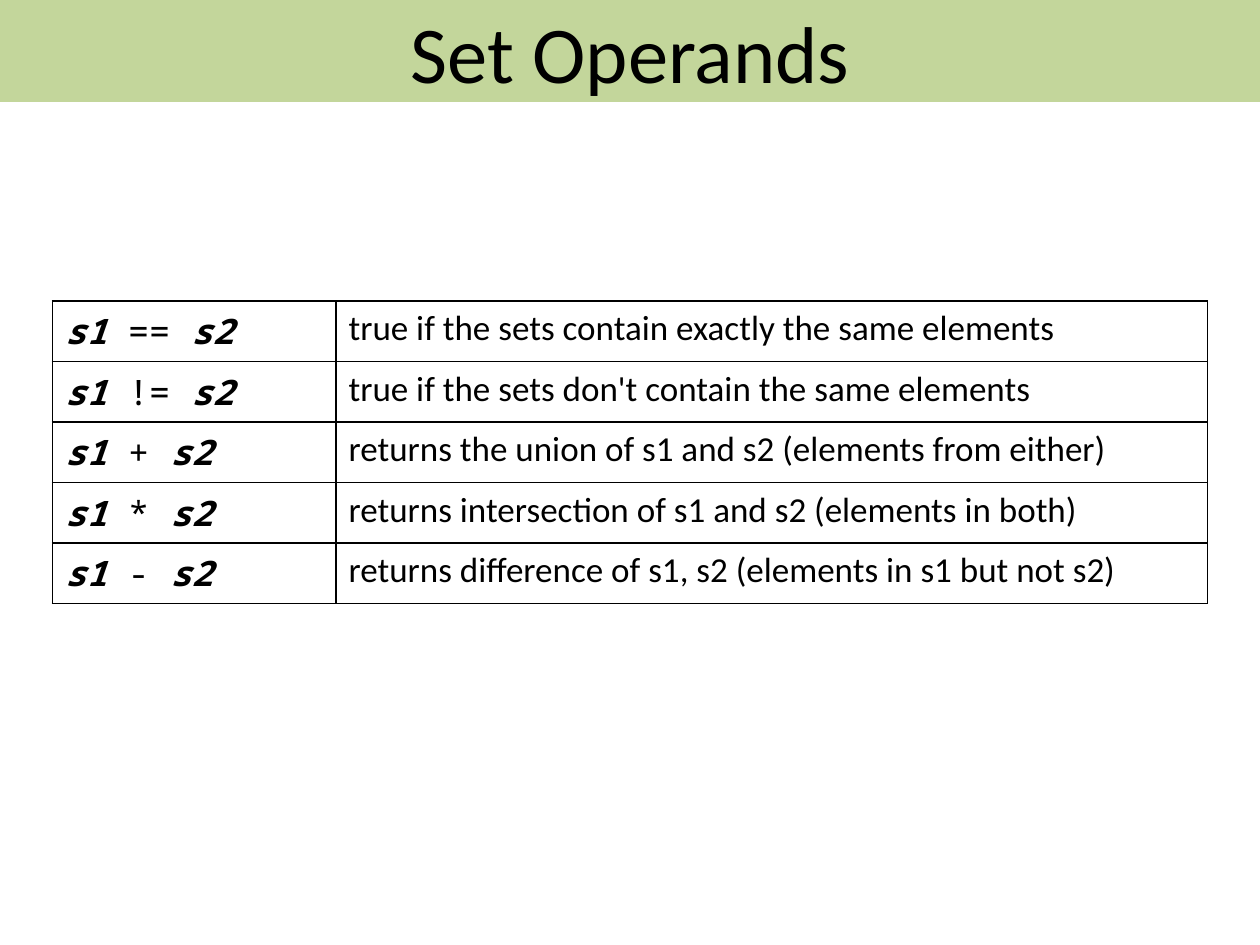
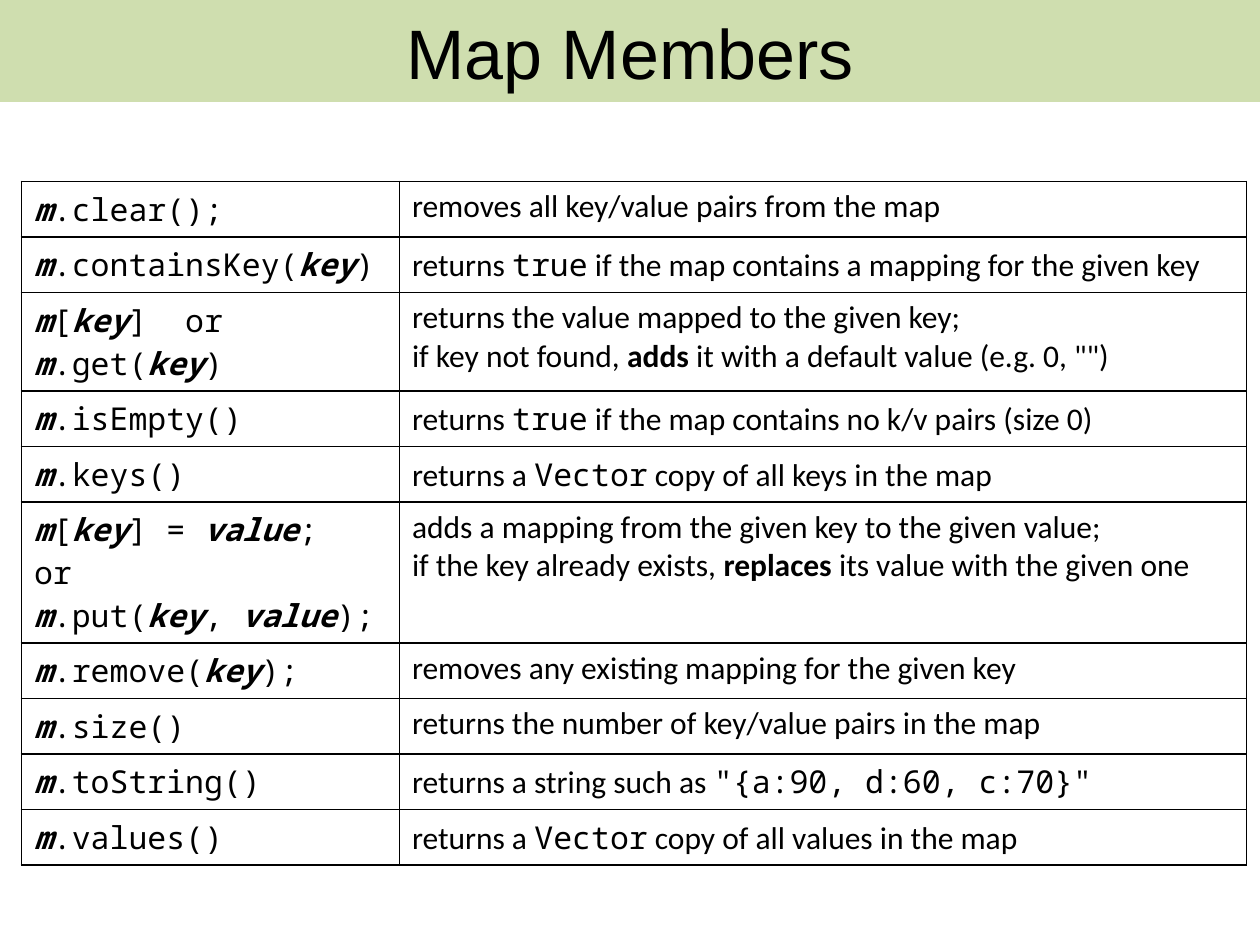
from lxml.etree import SubElement
from pptx import Presentation
from pptx.dml.color import RGBColor
from pptx.enum.text import MSO_ANCHOR, MSO_AUTO_SIZE, PP_ALIGN
from pptx.oxml.ns import qn
from pptx.util import Pt

COLORS = {"band": "C3D69B", "text": "000000", "border": "000000"}
BODY_FONT = "Calibri"
CODE_FONT = "Noto Sans Mono"
SLIDE_WIDTH, SLIDE_HEIGHT = 720, 540
BAND_HEIGHT = 58.3

# Cell markup: ` switches the code font, _ switches emphasis.
# A newline is a line break; a tuple holds several paragraphs.
SET_OPERANDS = [
    ("`_s1_ == _s2_", "true if the sets contain exactly the same elements"),
    ("`_s1_ != _s2_", "true if the sets don't contain the same elements"),
    ("`_s1_ + _s2_", "returns the union of s1 and s2 (elements from either)"),
    ("`_s1_ * _s2_", "returns intersection of s1 and s2 (elements in both)"),
    ("`_s1_ - _s2_", "returns difference of s1, s2 (elements in s1 but not s2)"),
]
MAP_MEMBERS = [
    ("`_m_.clear();", "removes all key/value pairs from the map"),
    ("`_m_.containsKey(_key_)",
     "returns `true` if the map contains a mapping for the given key"),
    (("`_m_[_key_]  or", "`_m_.get(_key_)"),
     "returns the value mapped to the given key;\n"
     "if key not found, _adds_ it with a default value (e.g. 0, \"\")"),
    ("`_m_.isEmpty()", "returns `true` if the map contains no k/v pairs (size 0)"),
    ("`_m_.keys()", "returns a `Vector` copy of all keys in the map"),
    (("`_m_[_key_] = _value_;  or", "`_m_.put(_key_, _value_);"),
     "adds a mapping from the given key to the given value;\n"
     "if the key already exists, _replaces_ its value with the given one"),
    ("`_m_.remove(_key_);", "removes any existing mapping for the given key"),
    ("`_m_.size()", "returns the number of key/value pairs in the map"),
    ("`_m_.toString()", "returns a string such as `\"{a:90, d:60, c:70}\"`"),
    ("`_m_.values()", "returns a `Vector` copy of all values in the map"),
]
MAP_ROW_HEIGHTS = [31.7, 31.7, 50.4, 31.7, 31.7, 50.4, 28.8, 31, 28.8, 28.8]


def add_run(paragraph, text, *, size, font=BODY_FONT, bold=False, italic=False,
            color="text"):
    run = paragraph.add_run()
    run.text = text
    run.font.name = font
    run.font.size = Pt(size)
    run.font.bold = bold
    run.font.italic = italic
    run.font.color.rgb = RGBColor.from_string(COLORS[color])


def add_marked_line(paragraph, line, size):
    for font_index, part in enumerate(line.split("`")):
        is_code = font_index % 2 == 1
        for emphasis_index, text in enumerate(part.split("_")):
            emphasized = emphasis_index % 2 == 1
            if text:
                add_run(paragraph, text, size=size,
                        font=CODE_FONT if is_code else BODY_FONT,
                        bold=emphasized, italic=emphasized and is_code)


class Deck:
    def __init__(self):
        self.presentation = Presentation()
        self.presentation.slide_width = Pt(SLIDE_WIDTH)
        self.presentation.slide_height = Pt(SLIDE_HEIGHT)
        self.slide = None

    def add_slide(self, title, size, font=BODY_FONT, opacity=100):
        layout = self.presentation.slide_layouts.get_by_name("Title Only")
        self.slide = self.presentation.slides.add_slide(layout)
        band = self.slide.shapes.title
        band.left, band.top = Pt(0), Pt(0)
        band.width, band.height = Pt(SLIDE_WIDTH), Pt(BAND_HEIGHT)
        band.fill.solid()
        band.fill.fore_color.rgb = RGBColor.from_string(COLORS["band"])
        if opacity < 100:
            color = band._element.spPr.find(".//" + qn("a:srgbClr"))
            SubElement(color, qn("a:alpha"), val=str(opacity * 1000))
        frame = band.text_frame
        frame.auto_size = MSO_AUTO_SIZE.NONE
        frame.vertical_anchor = MSO_ANCHOR.MIDDLE
        paragraph = frame.paragraphs[0]
        paragraph.alignment = PP_ALIGN.CENTER
        add_run(paragraph, title, size=size, font=font)

    def add_table(self, rows, left, top, column_widths, row_heights, size):
        table = self.slide.shapes.add_table(
            len(rows), len(column_widths), Pt(left), Pt(top),
            Pt(sum(column_widths)), Pt(sum(row_heights))).table
        table.first_row = False
        table.horz_banding = False
        for column, width in zip(table.columns, column_widths):
            column.width = Pt(width)
        for row, height, contents in zip(table.rows, row_heights, rows):
            row.height = Pt(height)
            for cell, content in zip(row.cells, contents):
                self.style_cell(cell)
                self.fill_cell(cell, content, size)

    def style_cell(self, cell):
        properties = cell._tc.get_or_add_tcPr()
        for side in ("a:lnL", "a:lnR", "a:lnT", "a:lnB"):
            line = SubElement(properties, qn(side), w=str(Pt(1)))
            fill = SubElement(line, qn("a:solidFill"))
            SubElement(fill, qn("a:srgbClr"), val=COLORS["border"])
        cell.fill.background()

    def fill_cell(self, cell, content, size):
        paragraphs = content if isinstance(content, tuple) else (content,)
        frame = cell.text_frame
        for index, text in enumerate(paragraphs):
            paragraph = frame.add_paragraph() if index else frame.paragraphs[0]
            for line_index, line in enumerate(text.split("\n")):
                if line_index:
                    paragraph.add_line_break()
                add_marked_line(paragraph, line, size)


def main():
    deck = Deck()

    # Set operands
    deck.add_slide("Set Operands", size=46)
    deck.add_table(SET_OPERANDS, left=30, top=172, column_widths=[162, 498],
                   row_heights=[31.2] * len(SET_OPERANDS), size=20)

    # Map members
    deck.add_slide("Map Members", size=40, font="Arial", opacity=80)
    deck.add_table(MAP_MEMBERS, left=12.25, top=103.7, column_widths=[216, 484],
                   row_heights=MAP_ROW_HEIGHTS, size=18)

    deck.presentation.save("out.pptx")


if __name__ == "__main__":
    main()
